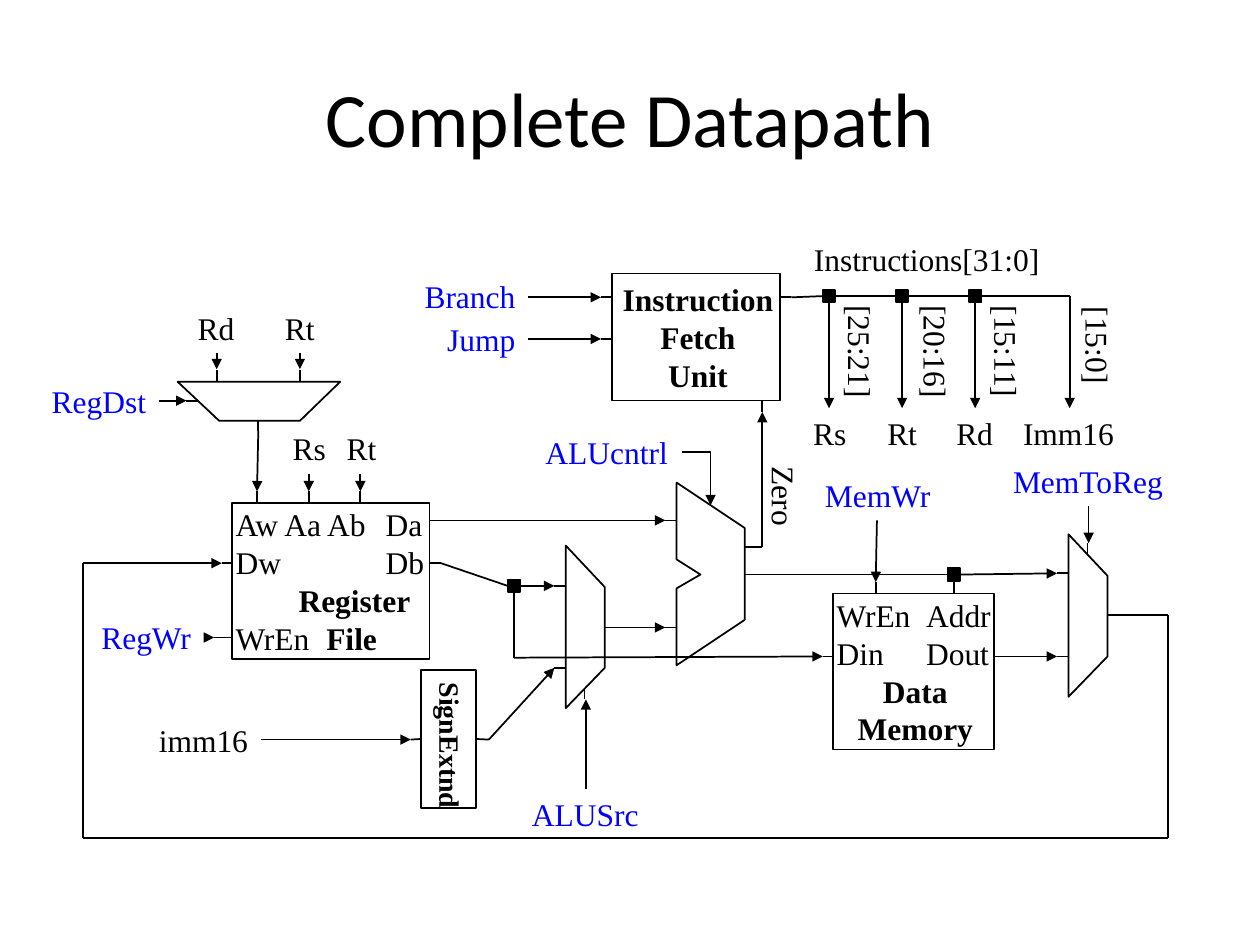
import pptx
import pptx.util
import pptx.dml.color
import pptx.enum.shapes
import pptx.enum.text
import pptx.oxml
import pptx.oxml.ns
from lxml import etree

HUES = {"ink": "000000", "ctrl": "0000FF", "body": "FFFFFF"}
SERIF = "Times New Roman"
STUB = 0.09
KIND = pptx.enum.shapes.MSO_CONNECTOR
RECT = pptx.enum.shapes.MSO_SHAPE.RECTANGLE
MID = pptx.enum.text.PP_ALIGN.CENTER
LEFT = pptx.enum.text.PP_ALIGN.LEFT


def cm(inch):
    """Turn a grid position in inches into a length."""
    return pptx.util.Cm(inch * 2.54)


def hue(name):
    """Look up a named colour."""
    return pptx.dml.color.RGBColor.from_string(HUES[name])


def style(run, size=18, bold=False, tint="ink", face=SERIF):
    """Format one run."""
    font = run.font
    font.size, font.bold, font.name = pptx.util.Pt(size), bold, face
    font.color.rgb = hue(tint)


def paint(shape, fill="body"):
    """Give a shape a flat fill and a thin black outline."""
    shape.shadow.inherit = False
    shape.fill.solid()
    shape.fill.fore_color.rgb = hue(fill)
    shape.line.color.rgb = hue("ink")
    shape.line.width = pptx.util.Pt(1)
    return shape


def sub(node, tag, **attrs):
    """Append a drawing element with attributes."""
    return etree.SubElement(node, pptx.oxml.ns.qn(tag), **attrs)


def block(slide, box, rows, size=18):
    """Draw a unit; each row is plain text, bold text and a tab stop or None."""
    shape = paint(slide.shapes.add_shape(RECT, *map(cm, box)))
    frame = shape.text_frame
    frame.word_wrap = True
    frame.margin_left, frame.margin_right = cm(0.03), 0
    frame.vertical_anchor = pptx.enum.text.MSO_ANCHOR.MIDDLE
    for num, (plain, bold, stop) in enumerate(rows):
        para = frame.add_paragraph() if num else frame.paragraphs[0]
        para.alignment = LEFT if stop else MID
        for text, heavy in ((plain, False), (bold, True)):
            if text:
                run = para.add_run()
                run.text = text
                style(run, size, heavy)
        if stop:
            tabs = sub(para._p.get_or_add_pPr(), "a:tabLst")
            sub(tabs, "a:tab", pos=str(cm(stop)), algn="l")
    return shape


def label(slide, text, left, top, width, tint="ink", turn=0):
    """Place a one-line label."""
    box = slide.shapes.add_textbox(*map(cm, (left, top, width, 0.4)))
    box.rotation = turn
    frame = box.text_frame
    frame.text = text
    frame.word_wrap = False
    frame.paragraphs[0].alignment = MID
    style(frame.paragraphs[0].runs[0], tint=tint)


def outline(slide, points):
    """Draw a closed polygon."""
    spots = [(cm(x), cm(y)) for x, y in points]
    form = slide.shapes.build_freeform(*spots[0], scale=1.0)
    form.add_line_segments(spots[1:], close=True)
    paint(form.convert_to_shape())


def mux(slide, left, top, flat=False):
    """Draw a multiplexer that points right, or down when flat."""
    shape = [(0, 0), (0.31, 0.33), (0.31, 0.97), (0, 1.29)]
    turned = [(y, x) if flat else (x, y) for x, y in shape]
    outline(slide, [(left + x, top + y) for x, y in turned])


def dot(slide, x, y):
    """Draw a junction centred on a point."""
    box = map(cm, (x - 0.05, y - 0.05, 0.1, 0.1))
    return paint(slide.shapes.add_shape(RECT, *box), "ink")


def link(slide, start, end, arrow=False, kind=KIND.STRAIGHT):
    """Join two ends, each a point or a shape with its side number."""
    ends = [None if hasattr(e[0], "shape_id") else e for e in (start, end)]
    a = ends[0] or ends[1] or (0, 0)
    b = ends[1] or a
    con = slide.shapes.add_connector(kind, *map(cm, (*a, *b)))
    if not ends[0]:
        con.begin_connect(*start)
    if not ends[1]:
        con.end_connect(*end)
    con.line.color.rgb = hue("ink")
    con.line.width = pptx.util.Pt(1)
    if arrow:
        sub(con.line._get_or_add_ln(), "a:tailEnd", type="triangle")
    sub(con._element.spPr, "a:effectLst")
    return con


def wire(slide, *points):
    """Run a line through points and end it with an arrow."""
    last = len(points) - 2
    for num, pair in enumerate(zip(points, points[1:])):
        link(slide, *pair, arrow=num == last)


def units(slide):
    """Draw the units and return the sign extender."""
    outline(slide, [(5.37, 3.83), (5.91, 4.19), (5.91, 4.92), (5.37, 5.28),
                    (5.37, 4.67), (5.56, 4.56), (5.37, 4.44)])
    mux(slide, 4.49, 4.33)
    mux(slide, 8.48, 4.24)
    mux(slide, 1.41, 3.03, flat=True)
    block(slide, (6.61, 4.71, 1.28, 1.24), [
        ("WrEn\tAddr", "", 0.71), ("Din\tDout", "", 0.71),
        ("", "Data", None), ("", "Memory", None)])
    block(slide, (4.86, 2.17, 1.33, 1.01), [
        ("", word, None) for word in ("Instruction", "Fetch", "Unit")])
    block(slide, (1.84, 3.99, 1.57, 1.24), [
        ("Aw Aa Ab\tDa", "", 1.19), ("Dw\tDb", "", 1.19),
        ("", "\tRegister", 0.5), ("WrEn\t", "File", 0.72)])
    sign = block(slide, (3.34, 5.32, 0.44, 1.09), [("", "SignExtnd", None)], 16)
    sign.text_frame.word_wrap = False
    sign.text_frame._txBody.bodyPr.set("vert", "eaVert")
    return sign


def stubs(slide):
    """Draw the short pins on the units."""
    for x, y in [(5.91, 4.56), (5.28, 4.13), (5.28, 4.98), (4.8, 4.98),
                 (4.4, 4.65), (4.4, 5.3), (8.79, 4.88), (8.39, 5.21),
                 (8.39, 4.55), (1.48, 3.18), (7.89, 5.21), (6.53, 5.21),
                 (4.77, 2.69), (4.77, 2.36), (6.19, 2.36), (1.76, 4.47),
                 (3.41, 4.47), (3.41, 4.13), (1.75, 5.06)]:
        link(slide, (x, y), (x + STUB, y))
    for x, y in [(4.64, 5.46), (8.63, 4.31), (2.05, 3.33), (2.38, 2.94),
                 (1.72, 2.94), (6.95, 4.62), (6.05, 3.18), (2.04, 3.9),
                 (2.45, 3.9), (2.86, 3.9)]:
        link(slide, (x, y), (x, y + STUB))


def wires(slide, sign):
    """Draw the junctions and the wires between units."""
    prior = (6.28, 2.36)
    for x in (6.58, 7.16, 7.74):
        node = dot(slide, x, 2.35)
        link(slide, prior, (node, 1))
        wire(slide, (node, 2), (x, 3.24))
        prior = (node, 3)
    wire(slide, prior, (8.49, 2.35), (8.49, 3.24))
    fork, addr = dot(slide, 4.08, 4.65), dot(slide, 7.57, 4.56)
    link(slide, (3.5, 4.47), (fork, 1))
    wire(slide, (fork, 3), (4.4, 4.65))
    wire(slide, (fork, 2), (4.08, 5.22), (6.53, 5.21))
    link(slide, (6, 4.56), (addr, 1))
    wire(slide, (addr, 3), (8.39, 4.55))
    link(slide, (addr, 2), (7.57, 4.71))
    link(slide, (3.26, 5.87), (sign, 1))
    link(slide, (sign, 3), (3.88, 5.87))
    for route in [
            [(8.88, 4.88), (9.27, 4.88), (9.27, 6.65), (0.66, 6.65),
             (0.66, 4.47), (1.76, 4.47)],
            [(5.91, 4.34), (6.05, 4.34), (6.05, 3.27)],
            [(3.88, 5.87), (4.4, 5.3)], [(4.89, 4.98), (5.28, 4.98)],
            [(2.07, 5.87), (3.26, 5.87)], [(2.05, 3.42), (2.04, 3.9)],
            [(2.45, 3.76), (2.45, 3.9)], [(2.86, 3.76), (2.86, 3.9)],
            [(3.5, 4.13), (5.28, 4.13)], [(7.98, 5.21), (8.39, 5.21)],
            [(4.65, 6.26), (4.65, 5.55)], [(4.19, 2.36), (4.77, 2.36)],
            [(4.19, 2.69), (4.77, 2.69)], [(1.26, 3.18), (1.48, 3.18)],
            [(1.72, 2.8), (1.72, 2.93)], [(2.38, 2.8), (2.38, 2.93)],
            [(1.62, 5.06), (1.7, 5.06)], [(6.96, 4.13), (6.95, 4.62)],
            [(8.64, 4.02), (8.64, 4.31)]]:
        wire(slide, *route)
    link(slide, (1.7, 5.06), (1.75, 5.06))
    bend = link(slide, (5.41, 3.59), (5.64, 4.01), True, KIND.ELBOW)
    bend._element.spPr.find(pptx.oxml.ns.qn("a:prstGeom")).set("prst", "bentConnector2")


def labels(slide):
    """Place the signal names."""
    for item in [("Rs", 2.22, 3.36, 0.47), ("Rt", 2.65, 3.36, 0.44),
                 ("Rs", 6.35, 3.24, 0.47), ("Rt", 6.94, 3.24, 0.44),
                 ("Rd", 7.49, 3.24, 0.49), ("Imm16", 8.02, 3.24, 0.92),
                 ("imm16", 1.16, 5.67, 0.91), ("Rd", 1.47, 2.4, 0.49),
                 ("Rt", 2.16, 2.4, 0.44), ("Instructions[31:0]", 6.36, 1.86, 1.99)]:
        label(slide, *item)
    for item in [("Branch", 3.27, 2.15, 0.92), ("Jump", 3.45, 2.49, 0.74),
                 ("ALUSrc", 4.12, 6.26, 1.05), ("RegDst", 0.31, 2.98, 0.95),
                 ("ALUcntrl", 4.23, 3.39, 1.17), ("RegWr", 0.7, 4.86, 0.92),
                 ("MemWr", 6.44, 3.73, 1.05), ("MemToReg", 7.93, 3.62, 1.41)]:
        label(slide, *item, tint="ctrl")
    for item in [("[25:21]", 6.36, 2.59, 0.94), ("[20:16]", 6.96, 2.59, 0.94),
                 ("[15:11]", 7.52, 2.59, 0.94), ("[15:0]", 8.31, 2.54, 0.81),
                 ("Zero", 5.89, 3.74, 0.67)]:
        label(slide, *item, turn=90)


def main():
    """Build and save the slide."""
    deck = pptx.Presentation()
    deck.slide_width, deck.slide_height = cm(10), cm(7.5)
    slide = deck.slides.add_slide(deck.slide_layouts[5])
    title = slide.shapes.title
    title.left, title.top, title.width, title.height = map(cm, (0.5, 0.3, 9, 1.25))
    title.text_frame.text = "Complete Datapath"
    title.text_frame.vertical_anchor = pptx.enum.text.MSO_ANCHOR.MIDDLE
    title.text_frame.paragraphs[0].alignment = MID
    style(title.text_frame.paragraphs[0].runs[0], 44, face="Calibri")
    sign = units(slide)
    stubs(slide)
    wires(slide, sign)
    labels(slide)
    deck.save("out.pptx")


if __name__ == "__main__":
    main()
